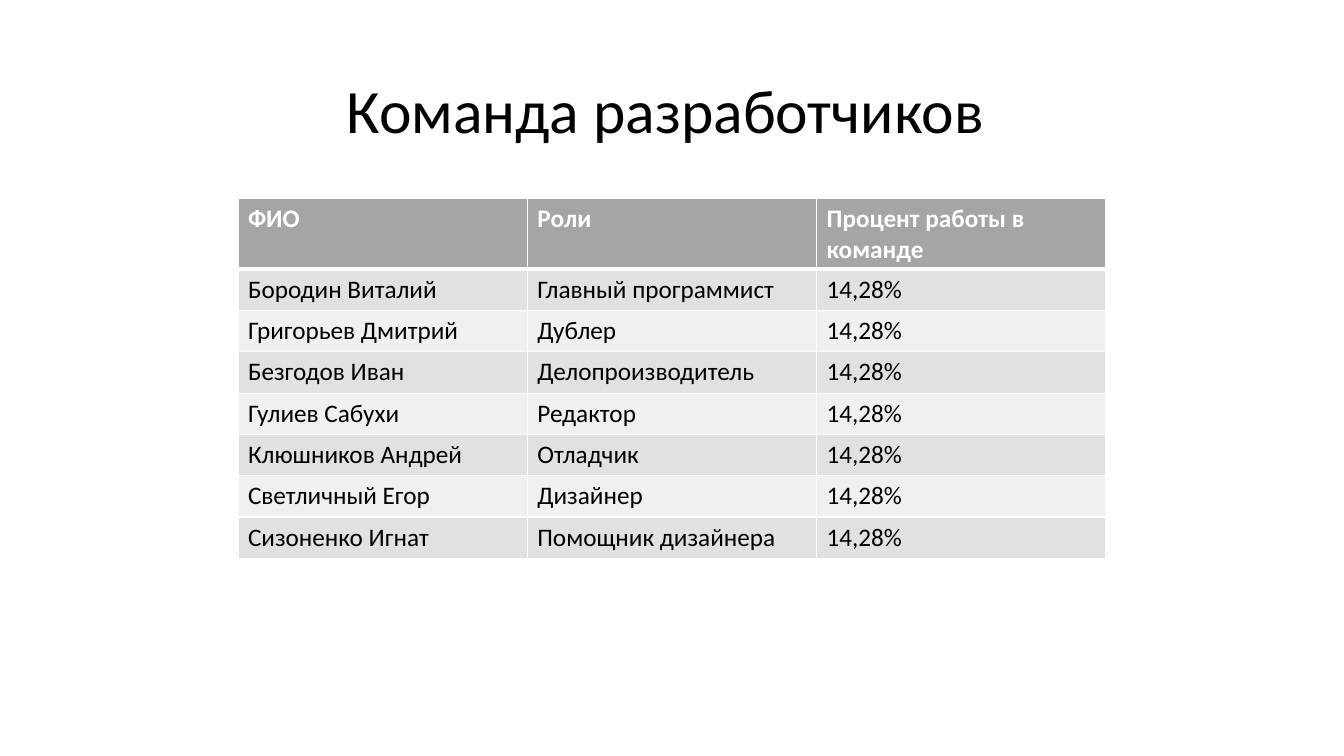
from lxml.etree import SubElement
from pptx import Presentation
from pptx.dml.color import RGBColor
from pptx.enum.text import MSO_ANCHOR as Anchor, PP_ALIGN as Align
from pptx.oxml.ns import qn
from pptx.util import Inches, Pt

FONT = "Calibri"
BLACK = RGBColor(0x00, 0x00, 0x00)
WHITE = RGBColor(0xFF, 0xFF, 0xFF)
HEADER_GRAY = RGBColor(0xA5, 0xA5, 0xA5)
BAND_GRAYS = (RGBColor(0xE1, 0xE1, 0xE1), RGBColor(0xF0, 0xF0, 0xF0))

COL_WIDTH = Inches(2.87)
ROW_HEIGHT = Inches(0.41)
HEADER_HEIGHT = Inches(0.7)

HEADERS = ("ФИО", "Роли", "Процент работы в команде")
SHARE = "14,28%"
TEAM = (
    ("Бородин Виталий", "Главный программист"),
    ("Григорьев Дмитрий", "Дублер"),
    ("Безгодов Иван", "Делопроизводитель"),
    ("Гулиев Сабухи", "Редактор"),
    ("Клюшников Андрей", "Отладчик"),
    ("Светличный Егор", "Дизайнер"),
    ("Сизоненко Игнат", "Помощник дизайнера"),
)


def set_font(p, size, color, bold=False):
    p.font.name = FONT
    p.font.size = Pt(size)
    p.font.bold = bold
    p.font.color.rgb = color


def add_title(slide, text):
    sp = slide.shapes.add_textbox(Inches(0.92), Inches(0.4), Inches(11.5), Inches(1.45))
    tf = sp.text_frame
    tf.word_wrap = True
    tf.vertical_anchor = Anchor.MIDDLE
    p = tf.paragraphs[0]
    p.text = text
    p.alignment = Align.CENTER
    p.line_spacing = 0.9
    set_font(p, 44, BLACK)


def set_borders(cell, color, **widths):
    """Draw the cell's edges; widths are in points, keyed by edge tag."""
    tc_pr = cell._tc.get_or_add_tcPr()
    for tag, width in widths.items():
        ln = SubElement(tc_pr, qn(f"a:{tag}"), w=str(Pt(width)))
        fill = SubElement(ln, qn("a:solidFill"))
        SubElement(fill, qn("a:srgbClr"), val=str(color))


def fill_cell(cell, text, fill, color, bold, top, bottom):
    # Borders come before the fill in the cell properties
    set_borders(cell, WHITE, lnL=1, lnR=1, lnT=top, lnB=bottom)
    cell.fill.solid()
    cell.fill.fore_color.rgb = fill
    p = cell.text_frame.paragraphs[0]
    p.text = text
    set_font(p, 18, color, bold)


def add_team_table(slide):
    rows = [HEADERS] + [(name, role, SHARE) for name, role in TEAM]
    height = HEADER_HEIGHT + ROW_HEIGHT * len(TEAM)
    table = slide.shapes.add_table(
        len(rows), len(HEADERS), Inches(2.36), Inches(1.97),
        COL_WIDTH * len(HEADERS), height).table
    for col in table.columns:
        col.width = COL_WIDTH
    for i, texts in enumerate(rows):
        header = i == 0
        table.rows[i].height = HEADER_HEIGHT if header else ROW_HEIGHT
        fill = HEADER_GRAY if header else BAND_GRAYS[(i - 1) % 2]
        color = WHITE if header else BLACK
        # A thick rule separates the header from the team
        top, bottom = 3 if i == 1 else 1, 3 if header else 1
        for j, text in enumerate(texts):
            fill_cell(table.cell(i, j), text, fill, color, header, top, bottom)


def main():
    prs = Presentation()
    prs.slide_width, prs.slide_height = Inches(13.33), Inches(7.5)
    slide = prs.slides.add_slide(prs.slide_layouts[6])
    add_title(slide, "Команда разработчиков ")
    add_team_table(slide)
    prs.save("out.pptx")


if __name__ == "__main__":
    main()
